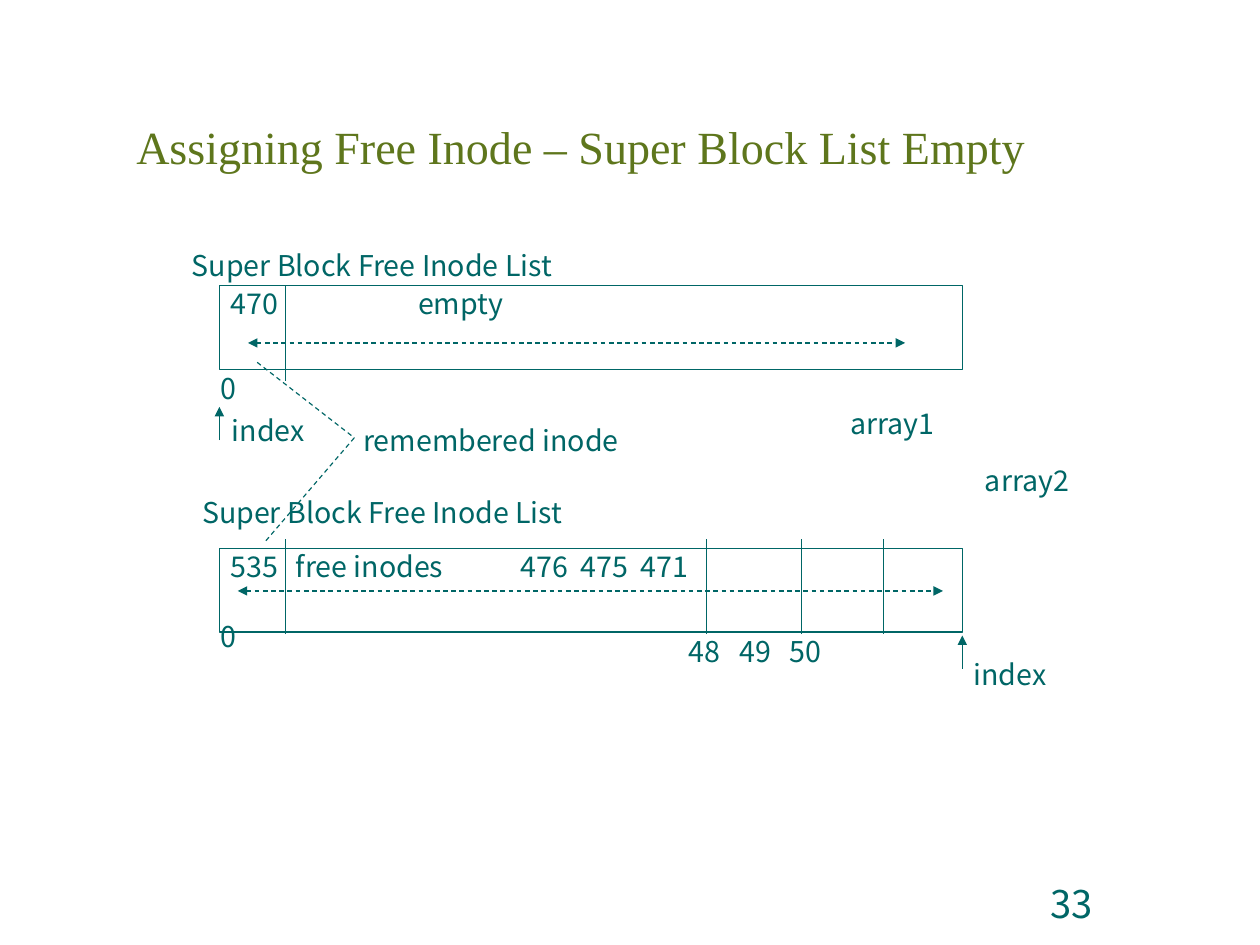
from dataclasses import dataclass

from lxml.etree import SubElement
from pptx import Presentation
from pptx.dml.color import RGBColor
from pptx.enum.dml import MSO_LINE_DASH_STYLE as Dash
from pptx.enum.shapes import MSO_CONNECTOR as Connector, MSO_SHAPE as Shape
from pptx.enum.text import MSO_ANCHOR as Anchor, MSO_AUTO_SIZE as AutoSize, PP_ALIGN as Align
from pptx.oxml.ns import qn
from pptx.util import Inches, Pt

TEAL = "006666"
OLIVE = "5E761C"
SANS = "Noto Sans CJK KR"
SERIF = "Times New Roman"
LIST_LEFT, LIST_WIDTH, LIST_HEIGHT = 1.92, 6.5, 0.73
LABEL_HEIGHT = 0.35


@dataclass(frozen=True)
class Label:
    """A line of text with its place and tab stops."""
    text: str
    left: float
    top: float
    width: float
    tabs: tuple[float, ...] = ()


@dataclass(frozen=True)
class InodeList:
    """A list box with its tabbed entries."""
    text: str
    top: float
    tabs: tuple[float, ...]


@dataclass(frozen=True)
class Stroke:
    """A straight line with optional dashes and arrowheads."""
    start: tuple[float, float]
    end: tuple[float, float]
    dashed: bool = False
    heads: tuple[str, ...] = ()


INODE_LISTS = [
    InodeList("470\tempty", 2.5, (1.64,)),
    InodeList("535\tfree inodes\t476\t475\t471", 4.8, (0.57, 2.54, 3.06, 3.59)),
]

LABELS = [
    Label("Super Block Free Inode List", 1.58, 2.17, 4.35),
    Label("0", 1.83, 3.25, 0.42),
    Label("index", 1.93, 3.61, 1.08),
    Label("array1", 7.34, 3.55, 1.43),
    Label("remembered inode", 3.08, 3.7, 2.93),
    Label("array2", 8.52, 4.05, 1.43),
    Label("Super Block Free Inode List", 1.67, 4.33, 4.68),
    Label("0", 1.83, 5.42, 0.42),
    Label("48\t49\t50", 5.93, 5.55, 2.75, (0.44, 0.88)),
    Label("index", 8.42, 5.75, 1.08),
]

BOTH_ENDS = ("headEnd", "tailEnd")
SEPARATORS = [(2.5, 2.5)] + [(x, 4.72) for x in (2.5, 6.18, 7.01, 7.73)]
INDEX_ARROWS = [(LIST_LEFT, 3.85), (LIST_LEFT + LIST_WIDTH, 5.85)]
STROKES = [
    Stroke((2.17, 3), (7.92, 3), True, BOTH_ENDS),
    Stroke((2.08, 5.17), (8.25, 5.17), True, BOTH_ENDS),
    Stroke((2.25, 3.17), (3.1, 3.83), True),
    Stroke((3.1, 3.83), (2.31, 4.75), True),
    *[Stroke((x, top), (x, top + 0.83)) for x, top in SEPARATORS],
    *[Stroke((x, y), (x, y - 0.29), heads=("tailEnd",)) for x, y in INDEX_ARROWS],
]


def color(value: str) -> RGBColor:
    """Turn a hex string into a colour."""
    return RGBColor.from_string(value)


def write(shape, text: str, *, size: float = 18, font: str = SANS, fill: str = TEAL,
          align=Align.LEFT, anchor=Anchor.TOP, spacing: float = 0.83,
          before: float = 11.2, tabs: tuple[float, ...] = ()) -> None:
    """Fill a shape with one formatted paragraph."""
    frame = shape.text_frame
    frame.word_wrap = True
    frame.auto_size = AutoSize.NONE
    frame.vertical_anchor = anchor
    paragraph = frame.paragraphs[0]
    paragraph.alignment = align
    paragraph.line_spacing = spacing
    paragraph.space_before = Pt(before)
    if tabs:
        stops = SubElement(paragraph._p.get_or_add_pPr(), qn("a:tabLst"))
        for position in tabs:
            SubElement(stops, qn("a:tab"), pos=str(Inches(position)), algn="l")
    run = paragraph.add_run()
    run.text = text
    run.font.size = Pt(size)
    run.font.name = font
    run.font.color.rgb = color(fill)


def draw_label(slide, label: Label) -> None:
    """Place a text label."""
    box = slide.shapes.add_textbox(Inches(label.left), Inches(label.top),
                                   Inches(label.width), Inches(LABEL_HEIGHT))
    write(box, label.text, tabs=label.tabs)


def draw_list(slide, inodes: InodeList) -> None:
    """Draw an outlined inode list."""
    shape = slide.shapes.add_shape(Shape.RECTANGLE, Inches(LIST_LEFT), Inches(inodes.top),
                                   Inches(LIST_WIDTH), Inches(LIST_HEIGHT))
    shape.shadow.inherit = False
    shape.fill.background()
    shape.line.color.rgb = color(TEAL)
    shape.line.width = Pt(0.75)
    write(shape, inodes.text, tabs=inodes.tabs)


def draw_stroke(slide, stroke: Stroke) -> None:
    """Draw a line with its dashes and arrowheads."""
    points = [Inches(value) for value in (*stroke.start, *stroke.end)]
    connector = slide.shapes.add_connector(Connector.STRAIGHT, *points)
    connector.line.color.rgb = color(TEAL)
    connector.line.width = Pt(0.75)
    if stroke.dashed:
        connector.line.dash_style = Dash.DASH
    for head in stroke.heads:
        SubElement(connector.line._get_or_add_ln(), qn(f"a:{head}"), type="triangle")
    SubElement(connector._element.spPr, qn("a:effectLst"))


def main() -> None:
    """Build and save the slide."""
    presentation = Presentation()
    presentation.slide_width = Pt(793.75)
    presentation.slide_height = Pt(595.25)
    slide = presentation.slides.add_slide(presentation.slide_layouts[5])

    title = slide.shapes.title
    title.left, title.top = Inches(0.75), Inches(0.67)
    title.width, title.height = Inches(8.67), Inches(1.25)
    write(title, "Assigning Free Inode – Super Block List Empty", size=29, font=SERIF,
          fill=OLIVE, align=Align.CENTER, anchor=Anchor.MIDDLE, spacing=0.97, before=0)

    for inodes in INODE_LISTS:
        draw_list(slide, inodes)
    for stroke in STROKES:
        draw_stroke(slide, stroke)
    for label in LABELS:
        draw_label(slide, label)

    page_number = slide.shapes.add_textbox(Inches(9.09), Inches(7.75), Inches(1.4), Inches(0.49))
    write(page_number, "33", size=24, spacing=0.75, before=0)
    presentation.save("out.pptx")


if __name__ == "__main__":
    main()
